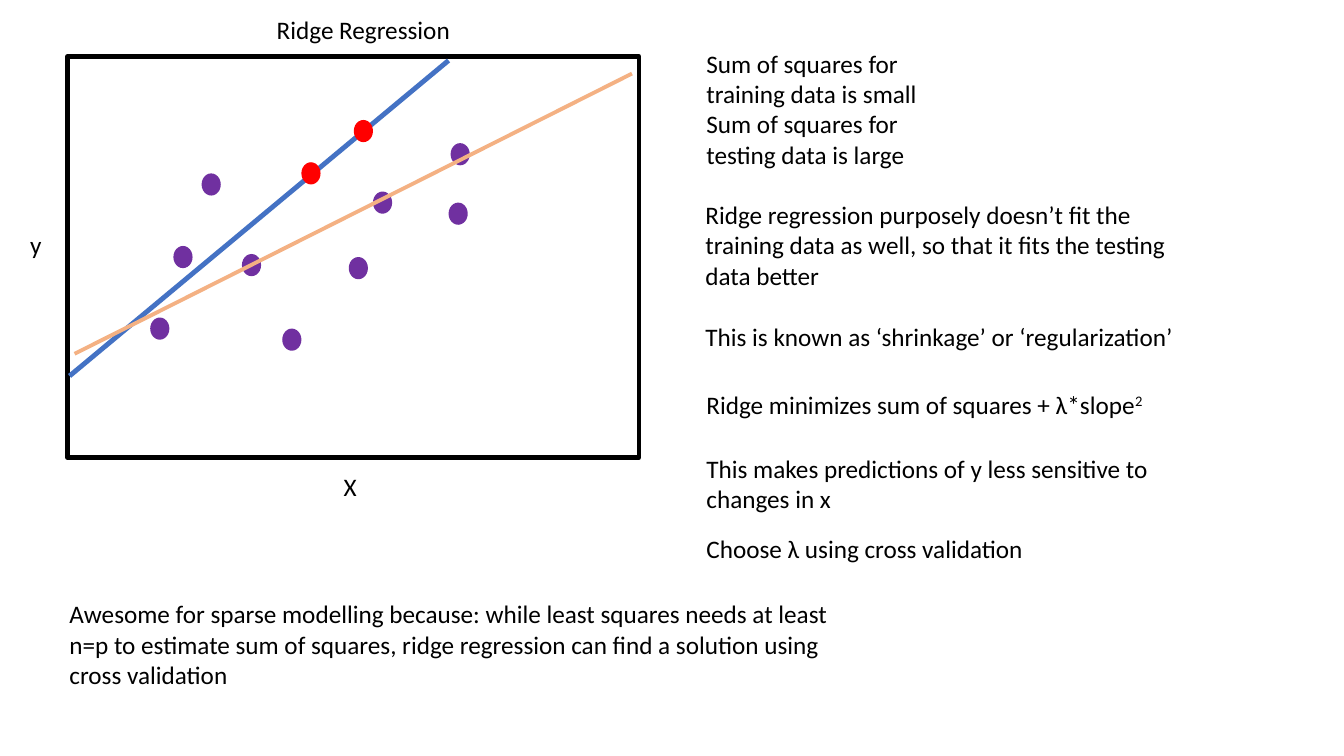
import pptx
import pptx.util
import pptx.dml.color
import pptx.enum.shapes
import pptx.enum.text
import pptx.oxml.ns
import lxml.etree

Pt = pptx.util.Pt
KIND = pptx.enum.shapes.MSO_SHAPE
ALIGN = pptx.enum.text.PP_ALIGN
HUES = {"black": "000000", "blue": "4472C4", "peach": "F4B183",
        "plum": "7030A0", "red": "FF0000"}

deck = pptx.Presentation()
deck.slide_width = pptx.util.Inches(13.333)
deck.slide_height = pptx.util.Inches(7.5)
col = deck.slide_width / 160
row = deck.slide_height / 90
slide = deck.slides.add_slide(deck.slide_layouts[6])
items = slide.shapes


def grid(x, y, *size):
    spans = (x, y) + size
    return [round(n * (row if i % 2 else col)) for i, n in enumerate(spans)]


def hue(name):
    return pptx.dml.color.RGBColor.from_string(HUES[name])


frame = items.add_shape(KIND.RECTANGLE, *grid(8.04, 6.72, 68.04, 47.76))
frame.shadow.inherit = False
frame.fill.background()
frame.line.color.rgb = hue("black")
frame.line.width = Pt(3)

fits = [("blue", 3.5, (8.28, 44.76), (53.4, 7.2)),
        ("peach", 2.75, (8.88, 42.12), (75.24, 8.76))]
for name, width, start, end in fits:
    line = items.add_connector(pptx.enum.shapes.MSO_CONNECTOR.STRAIGHT,
                               *grid(*start), *grid(*end))
    line.line.color.rgb = hue(name)
    line.line.width = Pt(width)
    lxml.etree.SubElement(line._element.spPr, pptx.oxml.ns.qn("a:effectLst"))
    if name == "peach":
        continue
    dots = {"plum": [(17.88, 37.8), (20.64, 29.28), (28.8, 30.24),
                     (24, 20.64), (41.52, 30.6), (53.4, 24.12),
                     (33.6, 39.12), (44.4, 22.8), (53.64, 17.04)],
            "red": [(35.88, 19.32), (42.12, 14.28)]}
    for shade, spots in dots.items():
        for x, y in spots:
            dot = items.add_shape(KIND.OVAL, *grid(x, y, 2.28, 2.64))
            dot.shadow.inherit = False
            dot.fill.solid()
            dot.fill.fore_color.rgb = hue(shade)
            dot.line.fill.background()

left, wide = 82.92, 61.44
notes = [
    ((39.72, 55.56, 4.68, 4.8), 0, [["X"]]),
    ((2.4, 26.76, 4.68, 4.8), 0, [["y"]]),
    ((16.68, 1.08, 53.16, 5.04), 0, [["Ridge Regression"]]),
    ((left, 5.16, 31.92, 15.72), 0,
     [["Sum of squares for training data is small"],
      ["Sum of squares for testing data is large"]]),
    ((82.8, 23.16, wide, 19.44), 22,
     [["Ridge regression purposely doesn’t fit the training data as well, "
       "so that it fits the testing data better"],
      ["This is known as ‘shrinkage’ or ‘regularization’"]]),
    ((left, 45.72, wide, 4.8), 0,
     [["Ridge minimizes sum of squares + λ*slope", "2"]]),
    ((left, 53.4, wide, 8.52), 0,
     [["This makes predictions of y less sensitive to changes in x"]]),
    ((left, 62.88, wide, 4.8), 0, [["Choose λ using cross validation"]]),
    ((7.08, 70.68, 96.24, 12.12), 0,
     [["Awesome for sparse modelling because: while least squares needs at "
       "least n=p to estimate sum of squares, ridge regression can find a "
       "solution using cross validation"]]),
]
for place, gap, paras in notes:
    text = items.add_textbox(*grid(*place)).text_frame
    text.word_wrap = True
    text.auto_size = pptx.enum.text.MSO_AUTO_SIZE.SHAPE_TO_FIT_TEXT
    for i, parts in enumerate(paras):
        para = text.add_paragraph() if i else text.paragraphs[0]
        if i and gap:
            para.space_before = Pt(gap)
        if parts == ["Ridge Regression"]:
            para.alignment = ALIGN.CENTER
        for part in parts:
            run = para.add_run()
            run.text = part
            run.font.name = "Calibri"
            run.font.size = Pt(18)
            run.font.color.rgb = hue("black")
            if part == "2":
                run._r.get_or_add_rPr().set("baseline", "30000")

deck.save("out.pptx")
